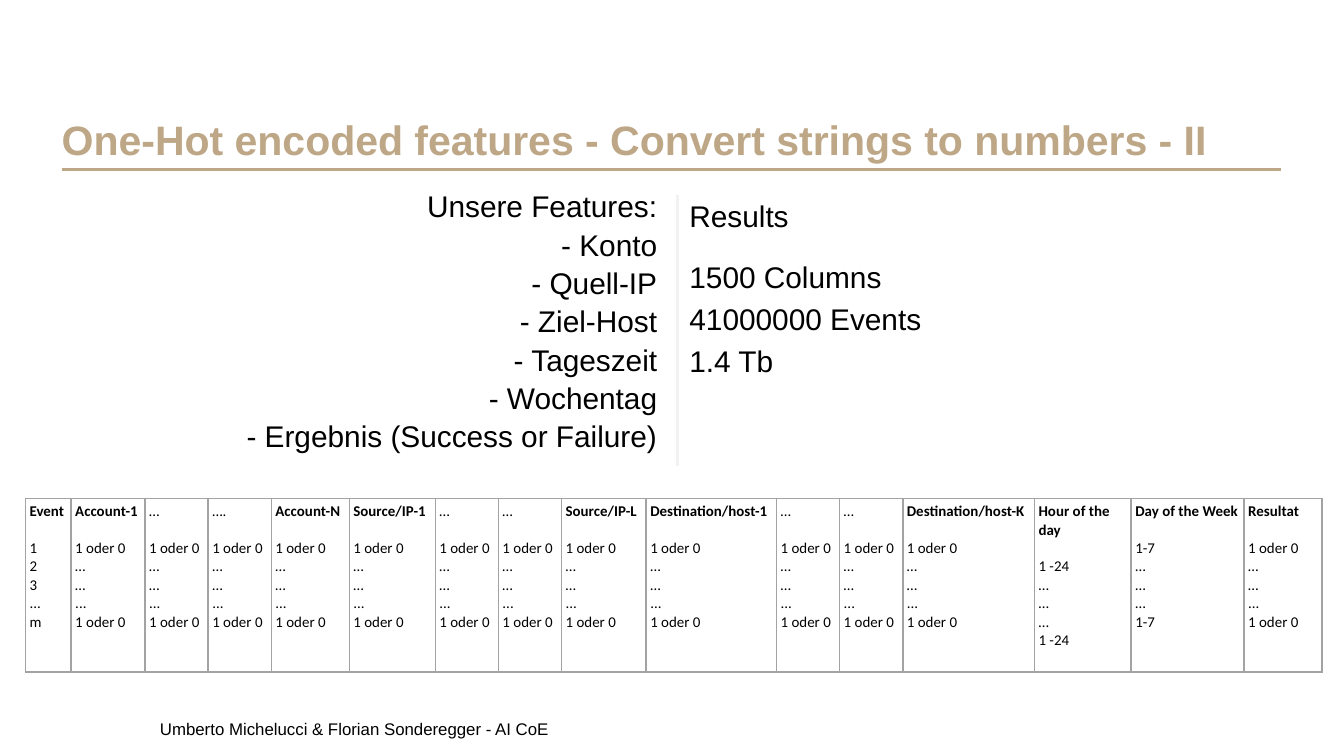
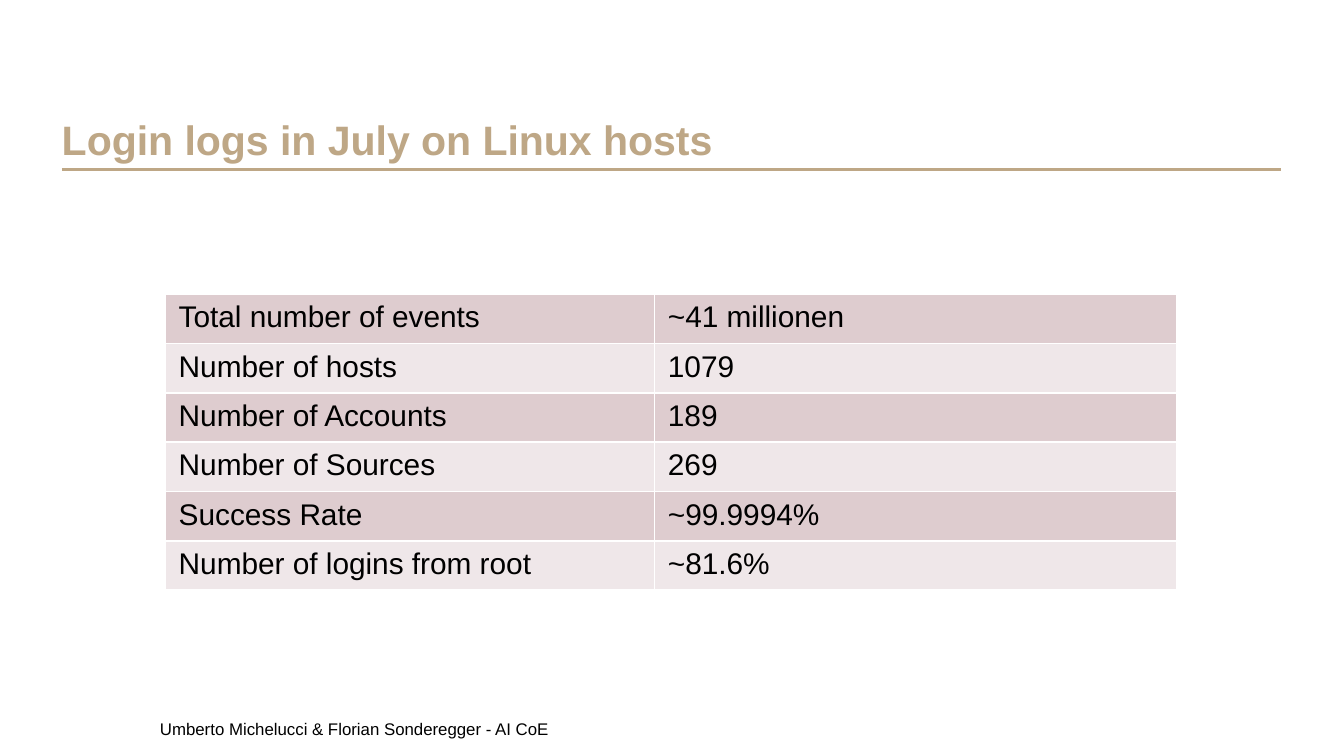
from copy import deepcopy
from lxml import etree
from pptx import Presentation
from pptx import util as u
from pptx.dml.color import RGBColor
from pptx.enum import shapes, text
from pptx.oxml import ns

COLS, ROWS = 100, 56.25
GOLD, BLACK, WHITE = "BEA786", "000000", "FFFFFF"
GREY, PALE = "A3A3A3", "F2F2F2"
BANDS = ("DECCCF", "EFE7E9")


def rgb(value):
    return RGBColor.from_string(value)


def write(p, content, size=16, font="Arial", color=BLACK, bold=False,
          align=None, before=None, after=None, spacing=None):
    p.text = content
    p.alignment = align
    if before is not None:
        p.space_before = u.Pt(before)
    if after is not None:
        p.space_after = u.Pt(after)
    if spacing is not None:
        p.line_spacing = spacing
    for r in p.runs:
        r.font.size = u.Pt(size)
        r.font.name = font
        r.font.bold = bold
        r.font.color.rgb = rgb(color)
    for br in p._p.findall(ns.qn("a:br")):
        br.append(deepcopy(p.runs[0].font._rPr))


class Deck:
    def __init__(self):
        self.prs = Presentation()
        self.prs.slide_width = u.Inches(10)
        self.prs.slide_height = u.Inches(5.625)
        self.s = None

    def x(self, cols):
        return u.Emu(round(self.prs.slide_width * cols / COLS))

    def y(self, rows):
        return u.Emu(round(self.prs.slide_height * rows / ROWS))

    def box(self, left, top, width, height):
        return self.x(left), self.y(top), self.x(width), self.y(height)

    def slide(self, title):
        self.s = self.prs.slides.add_slide(self.prs.slide_layouts[6])
        self.line(4.6, 12.6, 95.3, 12.6, GOLD)
        self.text((4.6, 3.2, 90.7, 9), [title], size=22, color=GOLD, bold=True,
                  anchor=text.MSO_ANCHOR.BOTTOM)
        self.text((11.9, 53.5, 71.5, 2),
                  ["Umberto Michelucci & Florian Sonderegger - AI CoE"], size=9)

    def line(self, x1, y1, x2, y2, color, width=1.75):
        c = self.s.shapes.add_connector(
            shapes.MSO_CONNECTOR.STRAIGHT,
            self.x(x1), self.y(y1), self.x(x2), self.y(y2))
        c.line.color.rgb = rgb(color)
        c.line.width = u.Pt(width)
        etree.SubElement(c._element.spPr, ns.qn("a:effectLst"))

    def text(self, area, paragraphs, anchor=text.MSO_ANCHOR.TOP,
             inset=0, gap=None, **style):
        tf = self.s.shapes.add_textbox(*self.box(*area)).text_frame
        tf.word_wrap = True
        tf.vertical_anchor = anchor
        tf.margin_left = tf.margin_right = 0
        tf.margin_top = tf.margin_bottom = self.y(inset)
        for i, content in enumerate(paragraphs):
            p = tf.add_paragraph() if i else tf.paragraphs[0]
            write(p, content, before=gap if i else None, **style)

    def table(self, left, top, widths, row_height, rows, border):
        frame = self.s.shapes.add_table(
            len(rows), len(widths),
            *self.box(left, top, sum(widths), row_height * len(rows)))
        t = frame.table
        t.first_row = t.horz_banding = False
        for column, width in zip(t.columns, widths):
            column.width = self.x(width)
        for row in t.rows:
            row.height = self.y(row_height)
        for cell in t.iter_cells():
            self.border(cell, border)
        return t

    def border(self, cell, color):
        tcPr = cell._tc.get_or_add_tcPr()
        for side in ("lnL", "lnR", "lnT", "lnB"):
            ln = etree.SubElement(tcPr, ns.qn(f"a:{side}"), w=str(u.Pt(1)))
            fill = etree.SubElement(ln, ns.qn("a:solidFill"))
            etree.SubElement(fill, ns.qn("a:srgbClr"), val=color)

    def feature_table(self, left, top, height, columns):
        widths = [width for width, _, _ in columns]
        t = self.table(left, top, widths, height, [columns], GREY)
        for cell, (_, head, values) in zip(t.iter_cells(), columns):
            cell.fill.background()
            cell.margin_left = cell.margin_right = self.x(0.3)
            cell.margin_top = cell.margin_bottom = self.y(0.3)
            tf = cell.text_frame
            write(tf.paragraphs[0], head, size=8, font="Calibri",
                  bold=head[0].isalpha())
            for i, value in enumerate(values):
                write(tf.add_paragraph(), value, size=8, font="Calibri",
                      before=0 if i else 9.8)

    def banded_table(self, left, top, widths, row_height, rows):
        t = self.table(left, top, widths, row_height, rows, WHITE)
        for i, row in enumerate(rows):
            for j, content in enumerate(row):
                cell = t.cell(i, j)
                cell.fill.solid()
                cell.fill.fore_color.rgb = rgb(BANDS[i % 2])
                write(cell.text_frame.paragraphs[0], content)


def one_hot_slide(deck):
    deck.slide("One-Hot encoded features - Convert strings to numbers - II")
    features = ["Unsere Features:", "- Konto", "- Quell-IP", "- Ziel-Host",
                "- Tageszeit", "- Wochentag", "- Ergebnis (Success or Failure)"]
    deck.text((11.9, 13.8, 37, 21.8), ["\n".join(features)],
              align=text.PP_ALIGN.RIGHT, after=9, spacing=1.07)
    binary = ["1 oder 0", "…", "…", "...", "1 oder 0"]
    gap = (4.7, "…", binary)
    deck.feature_table(1.9, 37.1, 12.9, [
        (3.4, "Event", ["1", "2", "3", "...", "m"]),
        (5.5, "Account-1", binary),
        gap,
        (4.7, "….", binary),
        (5.8, "Account-N", binary),
        (6.4, "Source/IP-1", binary),
        gap,
        gap,
        (6.3, "Source/IP-L", binary),
        (9.7, "Destination/host-1", binary),
        gap,
        gap,
        (9.8, "Destination/host-K", binary),
        (7.2, "Hour of the day", ["1 -24", "…", "…", "…", "1 -24"]),
        (8.4, "Day of the Week", ["1-7", "…", "…", "…", "1-7"]),
        (5.8, "Resultat", binary),
    ])
    deck.line(50.4, 14.5, 50.4, 34.7, PALE)
    deck.text((51.3, 13.8, 37, 21.8),
              ["Results", "1500 Columns\n41000000 Events\n1.4 Tb"],
              inset=0.5, gap=10, spacing=1.17)


def login_slide(deck):
    deck.slide("Login logs in July on Linux hosts")
    deck.banded_table(12.3, 21.9, [36.4, 38.9], 3.4, [
        ("Total number of events", "~41 millionen"),
        ("Number of hosts", "1079"),
        ("Number of Accounts", "189"),
        ("Number of Sources", "269"),
        ("Success Rate", "~99.9994%"),
        ("Number of logins from root", "~81.6%"),
    ])


def main():
    deck = Deck()
    one_hot_slide(deck)
    login_slide(deck)
    deck.prs.save("out.pptx")


if __name__ == "__main__":
    main()
